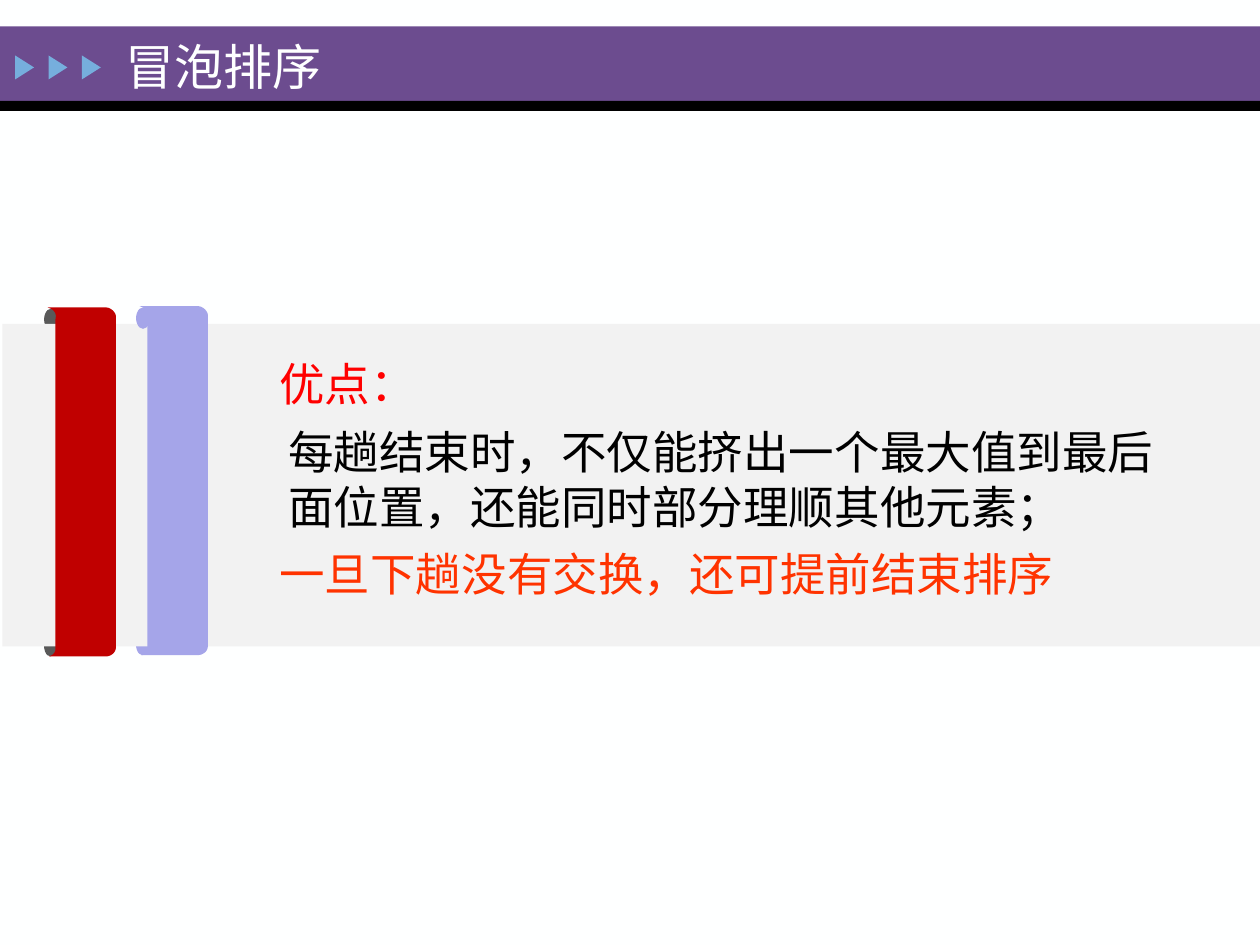
from pptx import Presentation
from pptx.dml.color import RGBColor
from pptx.enum.shapes import MSO_SHAPE
from pptx.util import Inches, Pt

WHITE = RGBColor(0xFE, 0xFF, 0xFF)
PURPLE = RGBColor(0x6C, 0x4C, 0x8F)
BLACK = RGBColor(0, 0, 0)
SKY = RGBColor(0x76, 0xAE, 0xDD)
LILAC = RGBColor(0xA5, 0xA5, 0xE9)
GRAY = RGBColor(0x59, 0x59, 0x59)
PALE = RGBColor(0xF2, 0xF2, 0xF2)
CRIMSON = RGBColor(0xC0, 0, 0)
RED = RGBColor(0xFF, 0, 0)
ORANGE = RGBColor(0xFF, 0x33, 0)
FONT = "Times New Roman"

presentation = Presentation()
presentation.slide_width = Inches(10)
presentation.slide_height = Inches(7.5)
slide = presentation.slides.add_slide(presentation.slide_layouts[6])
slide.background.fill.solid()
slide.background.fill.fore_color.rgb = WHITE


def add_filled(kind, left, top, width, height, color):
    shape = slide.shapes.add_shape(kind, Inches(left), Inches(top), Inches(width), Inches(height))
    shape.fill.solid()
    shape.fill.fore_color.rgb = color
    shape.line.fill.background()
    shape.shadow.inherit = False
    return shape


def add_ribbon(left, top, color):
    curves = [
        [(0.06, 0.1), (0.09, 0), (-0.04, 0), (0.01, 0)],
        [(0.46, 0), (0.5, 0), (0.54, 0.04), (0.54, 0.07)],
        [(0.54, 2.7), (0.54, 2.74), (0.5, 2.77), (0.46, 2.77)],
        [(0.02, 2.77), (-0.02, 2.77), (0.07, 2.77), (0.06, 2.7)],
    ]
    points = []
    for curve in curves:
        for step in range(9):
            t = step / 8
            weights = [(1 - t) ** 3, 3 * t * (1 - t) ** 2, 3 * t * t * (1 - t), t ** 3]
            x = sum(weight * point[0] for weight, point in zip(weights, curve))
            y = sum(weight * point[1] for weight, point in zip(weights, curve))
            points.append((Inches(left + x), Inches(top + y)))
    builder = slide.shapes.build_freeform(*points[0])
    builder.add_line_segments(points[1:], close=True)
    ribbon = builder.convert_to_shape()
    ribbon.fill.solid()
    ribbon.fill.fore_color.rgb = color
    ribbon.line.fill.background()
    ribbon.shadow.inherit = False


add_filled(MSO_SHAPE.RECTANGLE, 0, 0.21, 10, 0.59, PURPLE)
add_filled(MSO_SHAPE.RECTANGLE, 0, 0.8, 10, 0.08, BLACK)
for index in range(3):
    triangle = add_filled(MSO_SHAPE.ISOSCELES_TRIANGLE, 0.1 + index * 0.265, 0.46, 0.19, 0.15, SKY)
    triangle.rotation = 90

title = slide.shapes.add_textbox(Inches(0.9), Inches(0.24), Inches(2.67), Inches(0.58))
title.text_frame.word_wrap = True
title.text_frame.text = "冒泡排序"
title_font = title.text_frame.paragraphs[0].runs[0].font
title_font.name = FONT
title_font.size = Pt(28)
title_font.color.rgb = WHITE

add_filled(MSO_SHAPE.OVAL, 1.08, 5.03, 0.1, 0.17, LILAC)
add_filled(MSO_SHAPE.OVAL, 0.35, 5.04, 0.1, 0.17, GRAY)
add_filled(MSO_SHAPE.OVAL, 0.35, 2.45, 0.11, 0.17, GRAY)
add_filled(MSO_SHAPE.RECTANGLE, 0.02, 2.57, 10, 2.56, PALE)
add_ribbon(0.38, 2.44, CRIMSON)
add_filled(MSO_SHAPE.OVAL, 1.08, 2.44, 0.11, 0.17, LILAC)
add_ribbon(1.11, 2.43, LILAC)

advantages = [
    ("优点：", RED, 0.32),
    ("每趟结束时，不仅能挤出一个最大值到最后面位置，还能同时部分理顺其他元素；", BLACK, 0.39),
    ("一旦下趟没有交换，还可提前结束排序", ORANGE, 0.32),
]
body = slide.shapes.add_textbox(Inches(1.8), Inches(2.78), Inches(7.76), Inches(2.11))
body.text_frame.word_wrap = True
body.text_frame.text = "\n".join(text for text, color, margin in advantages)
for index, paragraph in enumerate(body.text_frame.paragraphs):
    text, color, margin = advantages[index]
    properties = paragraph._p.get_or_add_pPr()
    properties.set("marL", str(Inches(margin)))
    properties.set("indent", "0")
    if index:
        paragraph.space_before = Pt(7.5)
    font = paragraph.runs[0].font
    font.name = FONT
    font.size = Pt(26)
    font.color.rgb = color

presentation.save("out.pptx")
